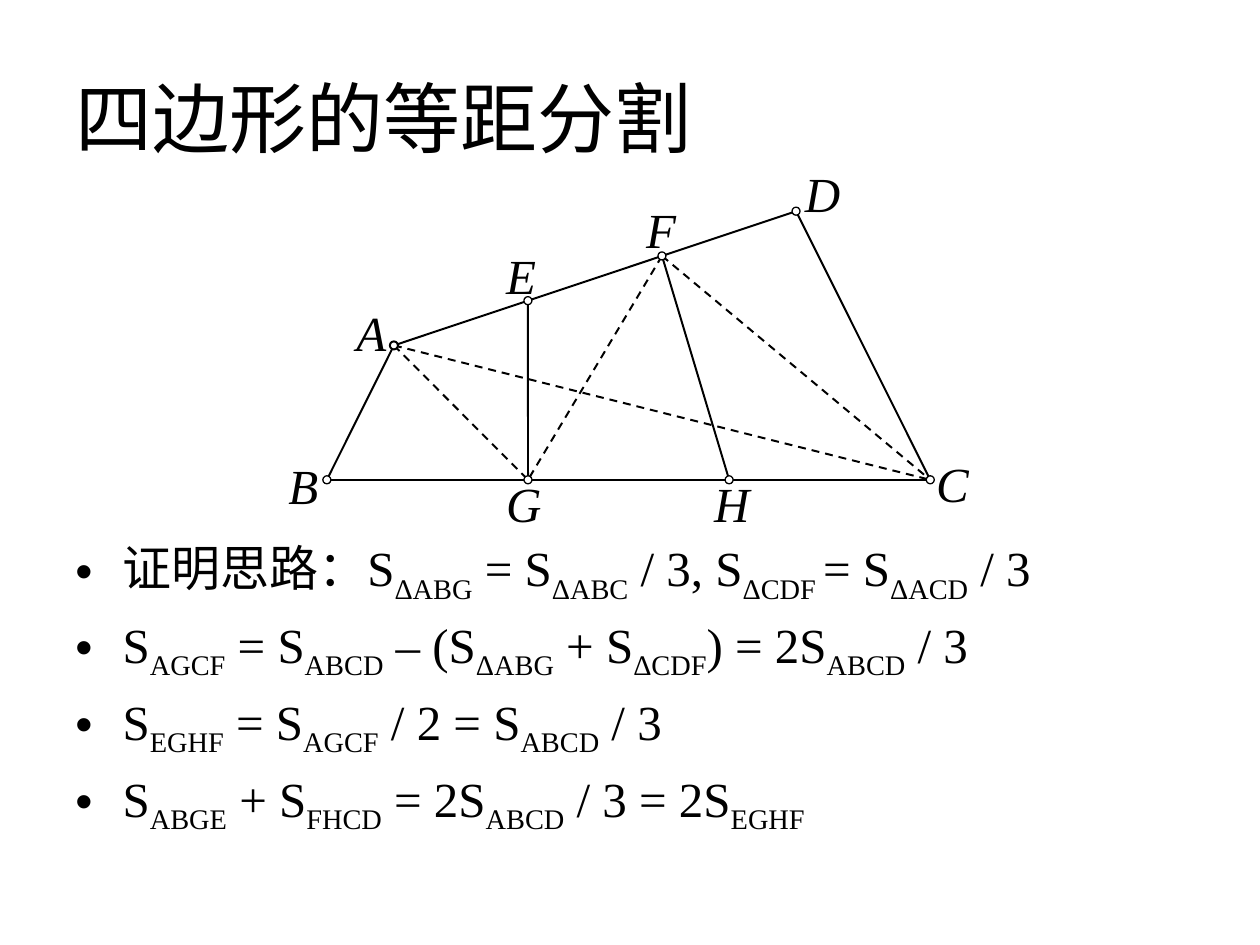
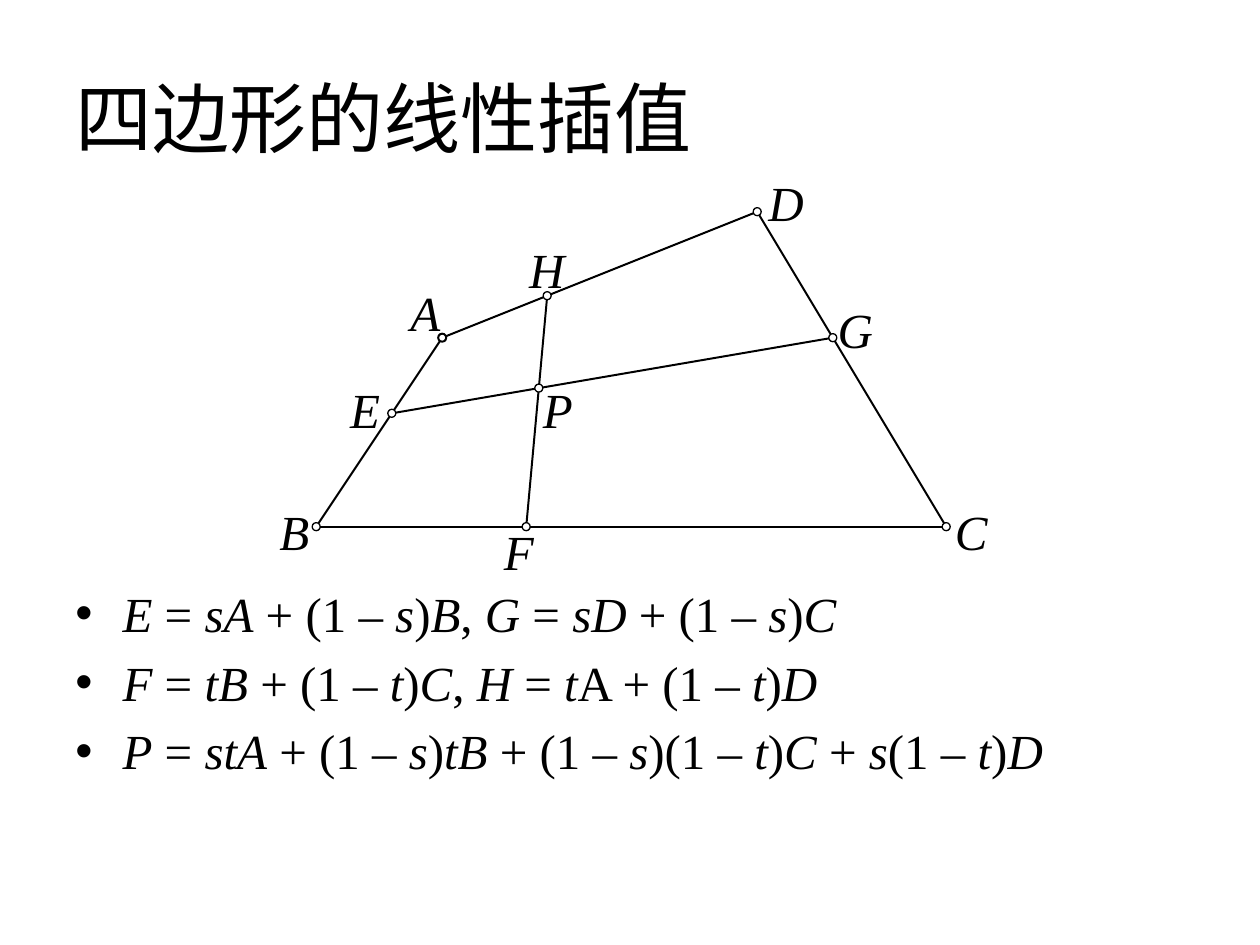
from dataclasses import dataclass

from lxml.etree import SubElement
from pptx import Presentation
from pptx.dml.color import RGBColor
from pptx.enum.dml import MSO_LINE
from pptx.enum.shapes import MSO_CONNECTOR, MSO_SHAPE
from pptx.enum.text import MSO_ANCHOR, MSO_AUTO_SIZE
from pptx.oxml.ns import qn
from pptx.util import Pt


@dataclass(frozen=True)
class Theme:
    ink: RGBColor = RGBColor(0, 0, 0)
    paper: RGBColor = RGBColor(255, 255, 255)
    title_font: str = "Calibri"
    body_font: str = "Times New Roman"
    title_size: float = 44
    body_size: float = 28
    edge_width: float = 1.13
    dot_width: float = 0.75
    dot_size: float = 4.6
    left: float = 36
    width: float = 648
    bottom: float = 482.4
    indent: float = 27


def subscript(span):
    span._r.get_or_add_rPr().set("baseline", "-25000")


def italic(span):
    span.font.italic = True


def between(start, end, share):
    return tuple(a + share * (b - a) for a, b in zip(start, end))


class Sketch:
    def __init__(self, deck, theme):
        self.deck = deck
        self.theme = theme
        self.page = None

    def new_page(self, title):
        self.page = self.deck.slides.add_slide(self.deck.slide_layouts[6])
        frame = self.text_box(self.theme.left, 21.6, self.theme.width, 90)
        frame.vertical_anchor = MSO_ANCHOR.MIDDLE
        para = frame.paragraphs[0]
        para.text = title
        self.style(para, self.theme.title_font, self.theme.title_size)

    def text_box(self, left, top, width, height):
        box = self.page.shapes.add_textbox(Pt(left), Pt(top), Pt(width), Pt(height))
        box.text_frame.word_wrap = True
        return box.text_frame

    def style(self, para, font, size):
        para.font.name = font
        para.font.size = Pt(size)
        para.font.color.rgb = self.theme.ink

    def bullets(self, top, lines, accent):
        theme = self.theme
        frame = self.text_box(theme.left, top, theme.width, theme.bottom - top)
        for number, line in enumerate(lines):
            para = frame.add_paragraph() if number else frame.paragraphs[0]
            properties = para._p.get_or_add_pPr()
            properties.set("marL", str(Pt(theme.indent)))
            properties.set("indent", str(-Pt(theme.indent)))
            spacing = SubElement(properties, qn("a:spcBef"))
            SubElement(spacing, qn("a:spcPct")).set("val", "20000")
            SubElement(properties, qn("a:buFont")).set("typeface", "Arial")
            SubElement(properties, qn("a:buChar")).set("char", "•")
            self.style(para, theme.body_font, theme.body_size)
            for position, text in enumerate(line.split("|")):
                if text:
                    span = para.add_run()
                    span.text = text
                    if position % 2:
                        accent(span)

    def edge(self, start, end, dashed=False):
        line = self.page.shapes.add_connector(
            MSO_CONNECTOR.STRAIGHT, *(Pt(value) for value in (*start, *end)))
        line.line.color.rgb = self.theme.ink
        line.line.width = Pt(self.theme.edge_width)
        if dashed:
            line.line.dash_style = MSO_LINE.DASH
        SubElement(line._element.spPr, qn("a:effectLst"))

    def dot(self, center, width):
        size = self.theme.dot_size
        left, top = (value - size / 2 for value in center)
        circle = self.page.shapes.add_shape(
            MSO_SHAPE.OVAL, Pt(left), Pt(top), Pt(size), Pt(size))
        circle.shadow.inherit = False
        circle.fill.solid()
        circle.fill.fore_color.rgb = self.theme.paper
        circle.line.color.rgb = self.theme.ink
        circle.line.width = Pt(width)

    def label(self, letter, left, top):
        width = {"C": 33.1, "D": 35.3, "G": 35.3, "H": 35.3}.get(letter, 31.7)
        frame = self.text_box(left, top, width, 41)
        frame.word_wrap = False
        frame.auto_size = MSO_AUTO_SIZE.SHAPE_TO_FIT_TEXT
        para = frame.paragraphs[0]
        para.text = letter
        self.style(para, self.theme.body_font, self.theme.body_size)
        para.font.italic = True

    def figure(self, points, solid, dashed, labels):
        for edges, is_dashed in ((solid, False), (dashed, True)):
            for start, end in edges.split():
                self.edge(points[start], points[end], is_dashed)
        for name, center in points.items():
            self.dot(center, self.theme.edge_width if name == "A" else self.theme.dot_width)
        for letter, corner in labels.items():
            self.label(letter, *corner)


def equal_division(sketch):
    sketch.new_page("四边形的等距分割")
    sketch.bullets(303.8, [
        "证明思路：S|ΔABG| = S|ΔABC| / 3, S|ΔCDF |= S|ΔACD| / 3",
        "S|AGCF| = S|ABCD| – (S|ΔABG| + S|ΔCDF|) = 2S|ABCD| / 3",
        "S|EGHF| = S|AGCF| / 2 = S|ABCD| / 3",
        "S|ABGE| + S|FHCD| = 2S|ABCD| / 3 = 2S|EGHF|",
    ], subscript)
    a, b, c, d = (225.1, 197.4), (186.8, 274.2), (531.6, 274.2), (454.9, 120.7)
    points = {
        "A": a, "B": b, "C": c, "D": d,
        "E": between(a, d, 1 / 3), "F": between(a, d, 2 / 3),
        "G": between(b, c, 1 / 3), "H": between(b, c, 2 / 3),
    }
    sketch.figure(points, "AB BC CD DA EG FH", "AG FG FC AC", {
        "A": (196.6, 169.2), "B": (157.7, 257), "C": (527.8, 255.6), "D": (452.9, 90),
        "E": (282.2, 136.8), "F": (362.2, 110.2), "G": (282.2, 267.1), "H": (401, 267.1),
    })


def linear_interpolation(sketch):
    sketch.new_page("四边形的线性插值")
    sketch.bullets(329.8, [
        "|E| = |sA| + (1 – |s|)|B|, |G| = |sD| + (1 – |s|)|C|",
        "|F| = |tB| + (1 – |t|)|C|, |H| = |t|A + (1 – |t|)|D|",
        "|P| = |stA| + (1 – |s|)|tB| + (1 – |s|)(1 – |t|)|C| + |s|(1 – |t|)|D|",
    ], italic)
    a, b, c, d = (252.7, 193), (180.7, 301), (540.7, 301), (432.7, 121)
    e, g = between(a, b, 0.4), between(d, c, 0.4)
    f, h = between(b, c, 1 / 3), between(a, d, 1 / 3)
    points = {
        "A": a, "B": b, "C": c, "D": d, "E": e, "F": f, "G": g, "H": h,
        "P": between(h, f, 0.4),
    }
    sketch.figure(points, "AB BC CD DA EG HF", "", {
        "A": (227.5, 157.7), "B": (152.6, 283), "C": (538.6, 283), "D": (432, 95),
        "E": (193, 213.1), "F": (280.8, 294.5), "G": (471.6, 167.8), "H": (295.2, 133.2),
        "P": (303.1, 213.1),
    })


def main():
    deck = Presentation()
    deck.slide_width, deck.slide_height = Pt(720), Pt(540)
    sketch = Sketch(deck, Theme())
    equal_division(sketch)
    linear_interpolation(sketch)
    deck.save("out.pptx")


if __name__ == "__main__":
    main()
